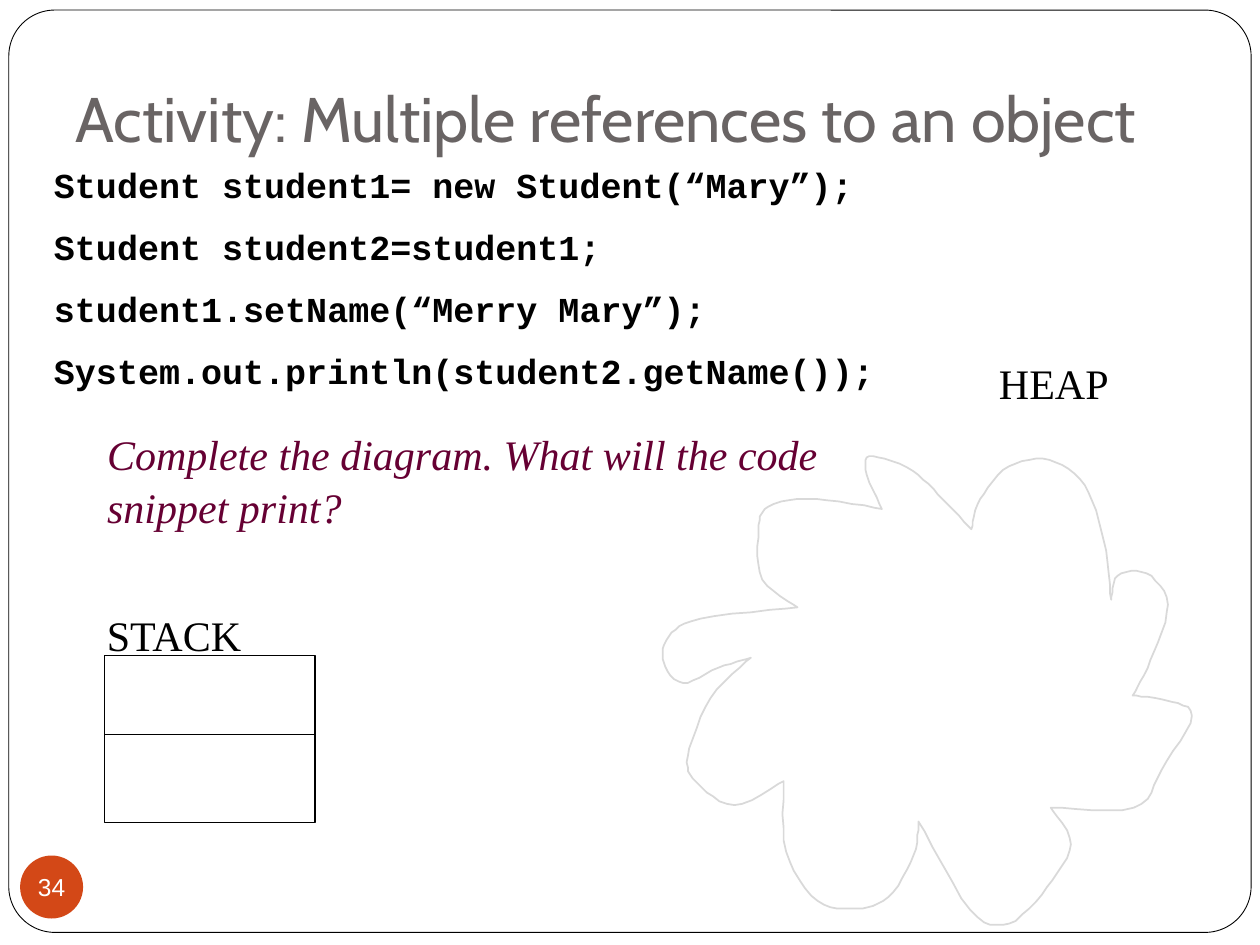
from dataclasses import dataclass

from lxml.etree import SubElement
from pptx import Presentation
from pptx.dml.color import RGBColor
from pptx.enum.shapes import MSO_CONNECTOR, MSO_SHAPE
from pptx.enum.text import MSO_ANCHOR, MSO_AUTO_SIZE, PP_ALIGN
from pptx.oxml.ns import qn
from pptx.util import Inches, Pt


@dataclass(frozen=True)
class Theme:
    black: str = "000000"
    white: str = "FFFFFF"
    title: str = "696464"
    accent: str = "D34817"
    question: str = "660033"
    cloud: str = "D9D9D9"
    heading_font: str = "Cabin"
    code_font: str = "Courier New"
    text_font: str = "Times New Roman"
    number_font: str = "Arial"
    title_size: float = 36
    text_size: float = 24
    code_size: float = 20
    number_size: float = 14


THEME = Theme()

CODE = [
    "Student student1= new Student(“Mary”);",
    "Student student2=student1;",
    "student1.setName(“Merry Mary”);",
    "System.out.println(student2.getName());",
]

# Lobes of the heap cloud in hundredths of an inch; each starts at a sharp notch
LOBES = [
    [(596, 522), (564, 554), (546, 600), (553, 621), (583, 639)],
    [(622, 620), (624, 676), (649, 715), (680, 721), (705, 712), (725, 679)],
    [(729, 652), (770, 722), (801, 733), (831, 704), (850, 670)],
    [(834, 641), (900, 641), (922, 611), (946, 568), (926, 556)],
    [(899, 552), (913, 524), (927, 480), (910, 455), (887, 457)],
    [(882, 476), (876, 429), (861, 385), (833, 365), (801, 370), (778, 396)],
    [(771, 420), (748, 396), (725, 374), (693, 362), (687, 373)],
    [(700, 404), (648, 396), (610, 402), (602, 422), (605, 460)],
    [(633, 482), (556, 491), (531, 505), (527, 526), (542, 542), (570, 530)],
]


def color(value):
    return RGBColor.from_string(value)


def write(sp, text, *, font, size, fill, bold=False, italic=False,
          align=PP_ALIGN.LEFT, anchor=MSO_ANCHOR.TOP, wrap=True, grow=False,
          gap=0, line_spacing=None, bullets=True):
    """Put one paragraph per line of text into a shape."""
    tf = sp.text_frame
    tf.word_wrap = wrap
    tf.auto_size = MSO_AUTO_SIZE.SHAPE_TO_FIT_TEXT if grow else MSO_AUTO_SIZE.NONE
    tf.vertical_anchor = anchor
    for i, line in enumerate(text.split("\n")):
        p = tf.add_paragraph() if i else tf.paragraphs[0]
        p.alignment = align
        p.space_before = Pt(gap if i else 0)
        if line_spacing:
            p.line_spacing = line_spacing
        if not bullets:
            pPr = p._p.get_or_add_pPr()
            pPr.set("marL", "0")
            pPr.set("indent", "0")
            SubElement(pPr, qn("a:buNone"))
        r = p.add_run()
        r.text = line
        r.font.name = font
        r.font.size = Pt(size)
        r.font.bold = bold
        r.font.italic = italic
        r.font.color.rgb = color(fill)


def place(sp, left, top, width, height):
    sp.left, sp.top = Inches(left), Inches(top)
    sp.width, sp.height = Inches(width), Inches(height)


def style(sp, fill=None, line=None, weight=0.75):
    sp.shadow.inherit = False
    if fill:
        sp.fill.solid()
        sp.fill.fore_color.rgb = color(fill)
    else:
        sp.fill.background()
    if line:
        sp.line.color.rgb = color(line)
        sp.line.width = Pt(weight)
    else:
        sp.line.fill.background()


def add_box(s, kind, box, **look):
    sp = s.shapes.add_shape(kind, *map(Inches, box))
    style(sp, **look)
    return sp


def add_text(s, box, text, **fmt):
    write(s.shapes.add_textbox(*map(Inches, box)), text, **fmt)


def add_line(s, x1, y1, x2, y2):
    line = s.shapes.add_connector(MSO_CONNECTOR.STRAIGHT, *map(Inches, (x1, y1, x2, y2)))
    line.line.color.rgb = color(THEME.black)
    line.line.width = Pt(0.75)
    SubElement(line._element.spPr, qn("a:effectLst"))


def smooth(points, steps=6):
    """Return points along a Catmull-Rom curve through the given points."""
    padded = [points[0], *points, points[-1]]
    curve = []
    for segment in zip(padded, padded[1:], padded[2:], padded[3:]):
        for i in range(1, steps + 1):
            t = i / steps
            curve.append(tuple(
                b + t * (c - a + t * (2 * a - 5 * b + 4 * c - d
                                      + t * (3 * b - a - 3 * c + d))) / 2
                for a, b, c, d in zip(*segment)))
    return curve


def add_cloud(s):
    builder = s.shapes.build_freeform(*LOBES[0][0], scale=Inches(0.01))
    for lobe, following in zip(LOBES, LOBES[1:] + LOBES[:1]):
        builder.add_line_segments(smooth(lobe + following[:1]), close=False)
    builder.add_line_segments([], close=True)
    style(builder.convert_to_shape(), line=THEME.cloud, weight=1)


def main():
    prs = Presentation()
    prs.slide_width, prs.slide_height = Inches(10), Inches(7.5)
    s = prs.slides.add_slide(prs.slide_layouts[1])

    # Rounded frame, behind everything else
    frame = add_box(s, MSO_SHAPE.ROUNDED_RECTANGLE, (0.07, 0.08, 9.86, 7.32),
                    fill=THEME.white, line=THEME.black, weight=0.5)
    frame.adjustments[0] = 0.05
    s.shapes._spTree.insert(2, frame._element)

    # Title and question
    title, body = s.shapes.title, s.placeholders[1]
    place(title, 0.5, 0.08, 9, 1.25)
    title.text_frame.margin_bottom = Inches(0.1)
    write(title, "Activity: Multiple references to an object", font=THEME.heading_font,
          size=THEME.title_size, fill=THEME.title, anchor=MSO_ANCHOR.BOTTOM)
    place(body, 0.75, 3.33, 6.25, 0.58)
    write(body, "Complete the diagram. What will the code snippet print?",
          font=THEME.text_font, size=THEME.text_size, fill=THEME.question,
          italic=True, line_spacing=1.05, bullets=False)

    # Slide number
    badge = add_box(s, MSO_SHAPE.OVAL, (0.16, 6.79, 0.5, 0.5), fill=THEME.accent)
    tf = badge.text_frame
    tf.margin_left = tf.margin_right = tf.margin_top = tf.margin_bottom = 0
    write(badge, "34", font=THEME.number_font, size=THEME.number_size, fill=THEME.white,
          align=PP_ALIGN.CENTER, anchor=MSO_ANCHOR.MIDDLE, wrap=False)

    # Code
    add_text(s, (0.33, 1.25, 8.58, 1.95), "\n".join(CODE), font=THEME.code_font,
             size=THEME.code_size, fill=THEME.black, bold=True, grow=True, gap=11.3)

    # Stack with two cells, and heap
    add_box(s, MSO_SHAPE.RECTANGLE, (0.83, 5.2, 1.67, 1.33), line=THEME.black)
    add_line(s, 0.83, 5.83, 2.5, 5.83)
    for text, box in (("STACK", (0.75, 4.79, 1.3, 0.5)), ("HEAP", (7.83, 2.79, 1.08, 0.5))):
        add_text(s, box, text, font=THEME.text_font, size=THEME.text_size,
                 fill=THEME.black, wrap=False, grow=True)
    add_cloud(s)

    prs.save("out.pptx")


if __name__ == "__main__":
    main()
